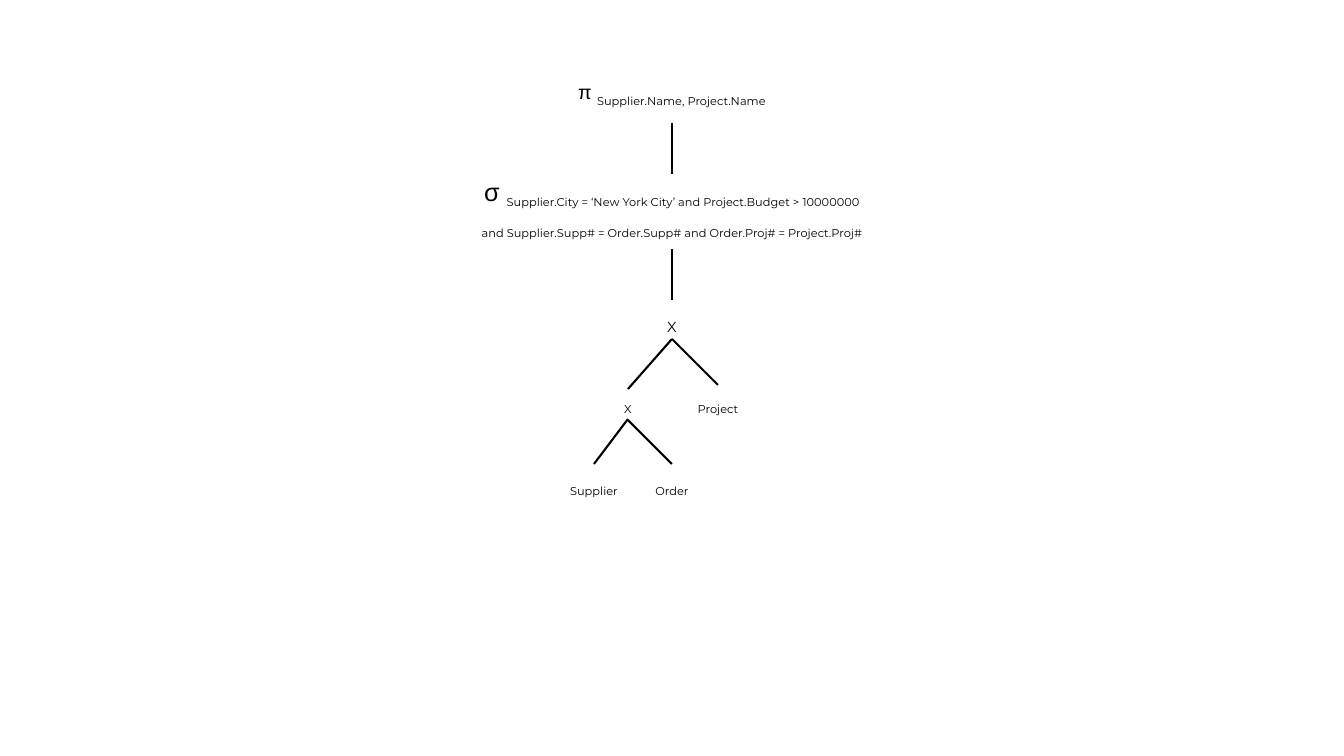
"""Draw a relational algebra query tree on one slide."""
import pptx
import pptx.util
import pptx.dml.color
import pptx.enum.text
import pptx.enum.shapes
import lxml.etree

THEME = {
    "ink": pptx.dml.color.RGBColor(0, 0, 0),
    "greek": "Arial", "body": "Montserrat",
    "small": 14, "large": 18, "line": 1.5, "space": 1.15,
}
SCALE = 914400 / 100.8
WIDE, HIGH = 1344, 756
MID = WIDE // 2

HEADS = [
    {"box": (0, 94, WIDE, 0), "sign": "π ", "size": THEME["small"], "base": -30,
     "space": None, "wrap": False, "lines": ["Supplier.Name, Project.Name"]},
    {"box": (336, 167, 672, 71), "sign": "σ ", "size": THEME["large"], "base": -25,
     "space": THEME["space"], "wrap": True, "lines": [
         "Supplier.City = ‘New York City’ and Project.Budget > 10000000",
         "and Supplier.Supp# = Order.Supp# and Order.Proj# = Project.Proj#"]},
]
NODES = {
    "root": ("X", MID, 291, 32, 43, THEME["large"]),
    "join": ("X", 628, 380, 30, 36, THEME["small"]),
    "project": ("Project", 718, 380, 66, 36, THEME["small"]),
    "supplier": ("Supplier", 594, 462, 76, 36, THEME["small"]),
    "order": ("Order", MID, 462, 58, 36, THEME["small"]),
}
STEMS = [(123, 174), (249, 300)]
EDGES = [
    ("root", "join", 339, 389), ("root", "project", 339, 385),
    ("join", "supplier", 419, 464), ("join", "order", 420, 464),
]


def emu(*sizes):
    return [round(size * SCALE) for size in sizes]


def style(run, face, size, base=0):
    run.font.name = face
    run.font.size = pptx.util.Pt(size)
    run.font.color.rgb = THEME["ink"]
    if base:
        run.font._element.set("baseline", str(base * 1000))


def add_text(slide, box, lines, size, base=-25, space=THEME["space"], wrap=False):
    frame = slide.shapes.add_textbox(*emu(*box)).text_frame
    frame.text = "\n".join(lines)
    frame.word_wrap = wrap
    frame.auto_size = pptx.enum.text.MSO_AUTO_SIZE.SHAPE_TO_FIT_TEXT
    for para in frame.paragraphs:
        para.alignment = pptx.enum.text.PP_ALIGN.CENTER
        para.line_spacing = space
        style(para.runs[0], THEME["body"], size, base)
    return frame


def add_head(slide, head):
    frame = add_text(slide, head["box"], [head["sign"], *head["lines"][1:]],
                     THEME["small"], head["base"], head["space"], head["wrap"])
    if not head["wrap"]:
        frame.vertical_anchor = pptx.enum.text.MSO_ANCHOR.MIDDLE
    first = frame.paragraphs[0]
    style(first.runs[0], THEME["greek"], head["size"])
    first.runs[0].font._element.attrib.pop("baseline", None)
    run = first.add_run()
    run.text = head["lines"][0]
    style(run, THEME["body"], THEME["small"], head["base"])


def add_line(slide, *ends):
    kind = pptx.enum.shapes.MSO_CONNECTOR.STRAIGHT
    line = slide.shapes.add_connector(kind, *emu(*ends))
    line.line.color.rgb = THEME["ink"]
    line.line.width = pptx.util.Pt(THEME["line"])
    props = line._element.spPr
    lxml.etree.SubElement(props, pptx.oxml.ns.qn("a:effectLst"))


deck = pptx.Presentation()
deck.slide_width, deck.slide_height = emu(WIDE, HIGH)
slide = deck.slides.add_slide(deck.slide_layouts[6])
for head in HEADS:
    add_head(slide, head)
for top, end in STEMS:
    add_line(slide, MID, top, MID, end)
for above, below, top, end in EDGES:
    add_line(slide, NODES[above][1], top, NODES[below][1], end)
for word, center, top, width, height, size in NODES.values():
    add_text(slide, (center - width / 2, top, width, height), [word], size)
deck.save("out.pptx")
